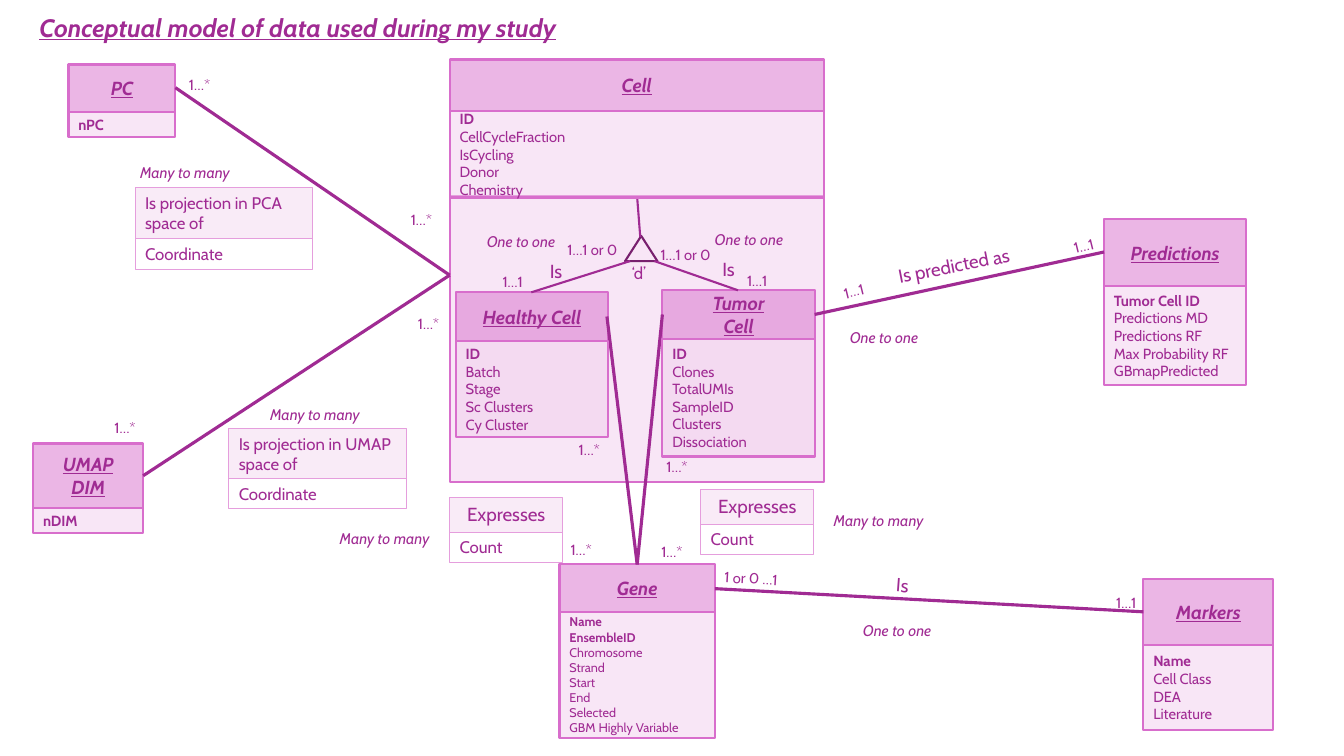
from lxml import etree
from pptx import Presentation
from pptx.dml.color import RGBColor
from pptx.enum.shapes import MSO_CONNECTOR, MSO_SHAPE
from pptx.enum.text import MSO_ANCHOR, PP_ALIGN
from pptx.oxml.ns import qn
from pptx.util import Inches, Pt

RECT, TRIANGLE = MSO_SHAPE.RECTANGLE, MSO_SHAPE.ISOSCELES_TRIANGLE
STRAIGHT = MSO_CONNECTOR.STRAIGHT
LEFT, CENTER = PP_ALIGN.LEFT, PP_ALIGN.CENTER
TOP, MIDDLE = MSO_ANCHOR.TOP, MSO_ANCHOR.MIDDLE
FONT = "Cabin"
COLORS = {"text": "A02B93", "border": "D86ECC", "heading": "D86ECC", "body": "F2CFEE",
          "relation": "F9EBF7", "relation border": "E59EDD", "triangle": "78206E"}

prs = Presentation()
prs.slide_width, prs.slide_height = Inches(13.33), Inches(7.5)
slide = prs.slides.add_slide(prs.slide_layouts[6])


def add_box(x, y, w, h, fill=None, alpha=None, border="border", weight=1.5, kind=RECT):
    """Add an outlined shape; alpha is the fill opacity in percent."""
    box = slide.shapes.add_shape(kind, Inches(x), Inches(y), Inches(w), Inches(h))
    box.shadow.inherit = False
    box.line.color.rgb = RGBColor.from_string(COLORS[border])
    box.line.width = Pt(weight)
    if fill is None:
        box.fill.background()
        return box
    box.fill.solid()
    box.fill.fore_color.rgb = RGBColor.from_string(COLORS[fill])
    if alpha:
        color = box.fill._xPr.find(".//" + qn("a:srgbClr"))
        etree.SubElement(color, qn("a:alpha"), val=str(alpha * 1000))
    return box


def write(text, shape=None, at=None, size=10.5, align=CENTER, anchor=TOP, bold_lines=0,
          italic=False, underline=False, rotation=0):
    """Write one paragraph per line into a shape, or into a new text box at the given place."""
    if shape is None:
        shape = slide.shapes.add_textbox(*[Inches(length) for length in at])
        shape.rotation = rotation
    frame = shape.text_frame
    frame.word_wrap = True
    frame.vertical_anchor = anchor
    for i, line in enumerate(text.split("\n")):
        paragraph = frame.paragraphs[0] if i == 0 else frame.add_paragraph()
        paragraph.alignment = align
        run = paragraph.add_run()
        run.text = line
        font = run.font
        font.name, font.size = FONT, Pt(size)
        font.bold, font.italic, font.underline = i < bold_lines, italic, underline
        font.color.rgb = RGBColor.from_string(COLORS["text"])


# Name, left, top, width, heading height, body height, attributes, key count, attribute size
entities = [
    ("Gene", 5.55, 5.6, 1.54, 0.47, 1.25,
     "Name\nEnsembleID\nChromosome\nStrand\nStart\nEnd\nSelected\nGBM Highly Variable", 2, 9),
    ("Cell", 4.46, 0.59, 3.71, 0.51, 0.86,
     "ID\nCellCycleFraction\nIsCycling\nDonor\nChemistry", 1, 10.5),
    ("Tumor\nCell", 6.57, 2.88, 1.51, 0.48, 1.17,
     "ID\nClones\nTotalUMIs\nSampleID\nClusters\nDissociation", 1, 10.5),
    ("Healthy Cell", 4.52, 2.9, 1.51, 0.48, 0.96,
     "ID\nBatch\nStage\nSc Clusters\nCy Cluster", 1, 10.5),
    ("PC", 0.68, 0.64, 1.06, 0.47, 0.25, "nPC", 1, 10.5),
    ("UMAP\nDIM", 0.33, 4.4, 1.09, 0.64, 0.25, "nDIM", 1, 10.5),
    ("Predictions", 10.95, 2.17, 1.41, 0.67, 0.98,
     "Tumor Cell ID\nPredictions MD\nPredictions RF\nMax Probability RF\nGBmapPredicted", 1, 10.5),
    ("Markers", 11.34, 5.74, 1.29, 0.66, 0.84,
     "Name\nCell Class\nDEA\nLiterature", 1, 10.5),
]

add_box(4.46, 1.95, 3.71, 2.83, "body", 50)
for name, x, y, w, heading_h, *_ in entities:
    heading = add_box(x, y, w, heading_h, "heading", 50)
    write(name, heading, size=13.5, anchor=MIDDLE, bold_lines=2, italic=True, underline=True)

add_box(6.2, 2.34, 0.32, 0.25, border="triangle", kind=TRIANGLE)

links = [
    (6.32, 1.96, 6.35, 2.35, 1.5), (7.32, 2.88, 6.49, 2.59, 1.5), (5.27, 2.9, 6.25, 2.59, 1.5),
    (4.46, 2.73, 1.74, 0.87, 2.25), (4.46, 2.73, 1.42, 4.72, 2.25),
    (6.32, 5.6, 6.57, 3.12, 2.25), (6.32, 5.6, 6.02, 3.14, 2.25),
    (10.95, 2.5, 8.08, 3.12, 2.25), (11.34, 6.07, 7.09, 5.84, 2.25),
]
for *ends, weight in links:
    link = slide.shapes.add_connector(STRAIGHT, *[Inches(end) for end in ends])
    link.line.color.rgb = RGBColor.from_string(COLORS["text"])
    link.line.width = Pt(weight)
    etree.SubElement(link._element.spPr, qn("a:effectLst"))

for _, x, y, w, heading_h, body_h, attributes, keys, size in entities:
    body = add_box(x, y + heading_h, w, body_h, "body", 50)
    write(attributes, body, size=size, align=LEFT, anchor=MIDDLE, bold_lines=keys)

# Relation, its attribute, left, top, width, relation height, text size, alignment
relations = [
    ("Is projection in PCA space of", "Coordinate", 1.34, 1.86, 1.76, 0.51, 12, LEFT),
    ("Is projection in UMAP space of", "Coordinate", 2.27, 4.25, 1.76, 0.5, 12, LEFT),
    ("Expresses", "Count", 4.46, 4.94, 1.12, 0.34, 13.5, CENTER),
    ("Expresses", "Count", 6.95, 4.86, 1.12, 0.34, 13.5, CENTER),
]
for relation, attribute, x, y, w, h, size, align in relations:
    relation_box = add_box(x, y, w, h, "relation", border="relation border", weight=0.75)
    write(relation, relation_box, size=size, align=align)
    attribute_box = add_box(x, y + h, w, 0.3, border="relation border", weight=0.75)
    write(attribute, attribute_box, size=12, align=LEFT)

# Text, left, top, width, rotation
cardinalities = [
    ("1…*", 1.42, 0.7, 1.12, 0), ("1…*", 3.62, 2.04, 1.12, 0),
    ("1…*", 0.68, 4.11, 1.12, 0), ("1…*", 3.69, 3.07, 1.12, 0),
    ("1…*", 5.61, 4.32, 0.47, 0), ("1…*", 5.53, 5.32, 0.47, 0),
    ("1…*", 6.48, 4.49, 0.47, 0), ("1…*", 6.43, 5.34, 0.47, 0),
    ("1…1", 7.21, 2.65, 0.6, 0), ("1…1", 4.72, 2.66, 0.73, 0),
    ("1…1", 10.61, 5.84, 1.12, 0), ("1…1", 10.45, 2.3, 0.6, -13.9),
    ("1…1", 8.17, 2.75, 0.6, -13.9), ("1 or 0 …1", 6.89, 5.6, 1.12, 3.3),
    ("1…1 or 0", 6.35, 2.39, 0.9, 0), ("1…1 or 0", 5.48, 2.34, 0.79, 0),
]
for text, x, y, w, rotation in cardinalities:
    write(text, at=(x, y, w, 0.28), rotation=rotation)

relation_names = [
    ("Is predicted as", 8.75, 2.47, 1.42, -11.1), ("Is", 8.24, 5.64, 1.42, 4.4),
    ("Is", 6.99, 2.51, 0.47, 0), ("Is", 5.28, 2.53, 0.47, 0),
]
for text, x, y, w, rotation in relation_names:
    write(text, at=(x, y, w, 0.33), size=13.5, rotation=rotation)

relation_kinds = {
    "Many to many": [(8.17, 5.02), (3.27, 5.2), (2.58, 3.97), (1.29, 1.57)],
    "One to one": [(8.33, 3.21), (8.46, 6.11), (6.99, 2.23), (4.73, 2.25)],
}
for kind, places in relation_kinds.items():
    for x, y in places:
        write(kind, at=(x, y, 1.22, 0.29), size=11, align=LEFT, italic=True)

write("‘d’", at=(6.17, 2.56, 0.36, 0.3), size=12, align=LEFT)
write("Conceptual model of data used during my study", at=(-0.38, 0.07, 6.67, 0.4),
      size=18, bold_lines=1, italic=True, underline=True)

prs.save("out.pptx")
